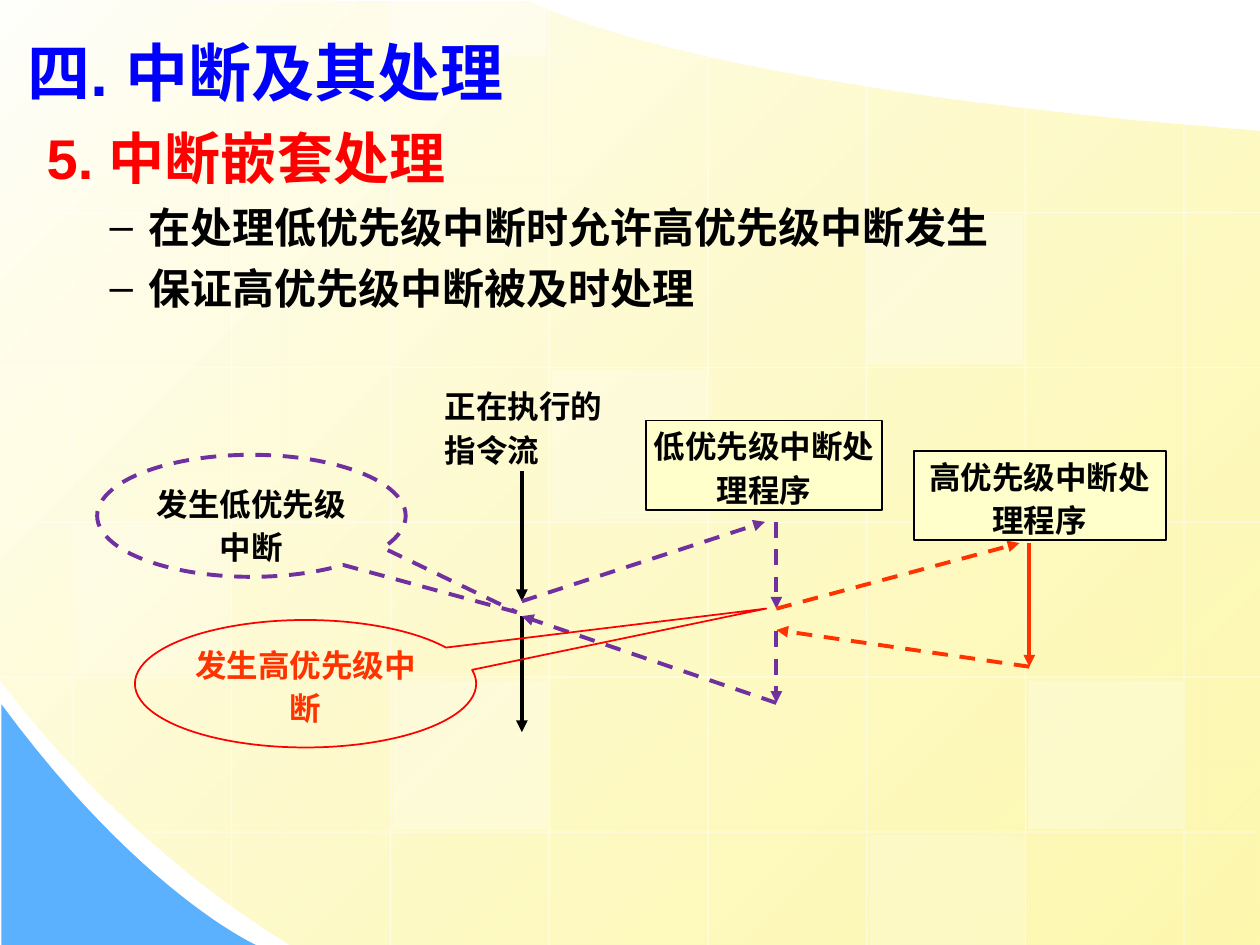
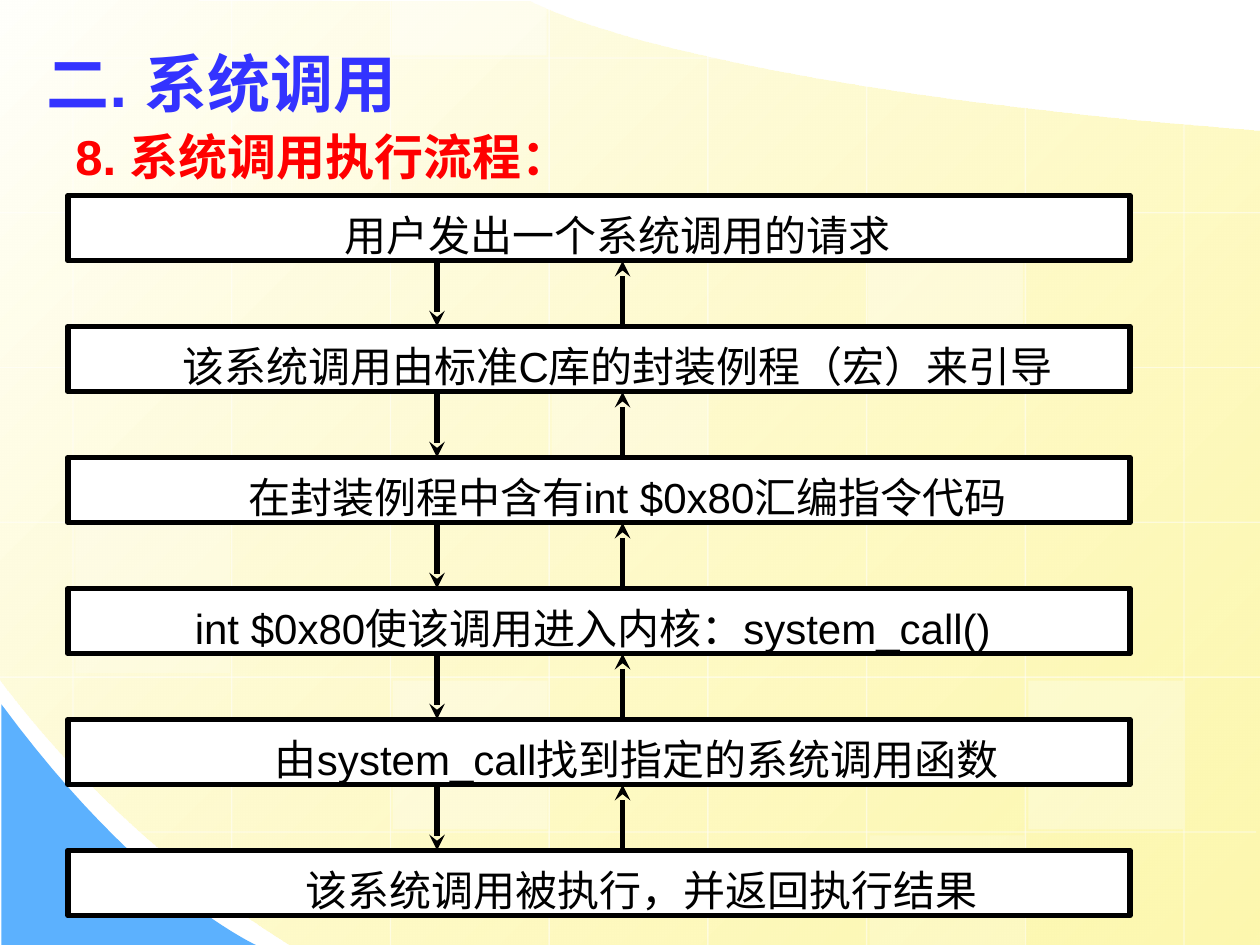
from lxml.etree import SubElement
from pptx import Presentation
from pptx.dml.color import RGBColor
from pptx.enum.dml import MSO_LINE
from pptx.enum.shapes import MSO_CONNECTOR, MSO_SHAPE
from pptx.enum.text import MSO_ANCHOR, MSO_AUTO_SIZE, PP_ALIGN
from pptx.oxml.ns import qn
from pptx.util import Cm, Pt

WHITE = RGBColor(0xFF, 0xFF, 0xFF)
BLACK = RGBColor(0x00, 0x00, 0x00)
IVORY = RGBColor(0xFF, 0xFF, 0xFB)
YELLOW = RGBColor(0xFD, 0xF5, 0x8D)
CREAM = RGBColor(0xFF, 0xFF, 0xCC)
SKY = RGBColor(0x5C, 0xB1, 0xFE)
BLUE = RGBColor(0x00, 0x00, 0xFF)
INDIGO = RGBColor(0x33, 0x33, 0xFF)
RED = RGBColor(0xFF, 0x00, 0x00)
ORANGE = RGBColor(0xFF, 0x33, 0x00)
PURPLE = RGBColor(0x70, 0x30, 0xA0)

WIDTH, HEIGHT = 25.4, 19.05


def write(tf, text, size=18, color=BLACK, bold=True, font="Arial",
          align=PP_ALIGN.LEFT, anchor=MSO_ANCHOR.TOP, spacing=1.15,
          before=0, margins=(0.25, 0.13), indent=(0, 0), bullet=None):
    """Fill the first paragraph of the frame, or add another one."""
    p = tf.add_paragraph() if tf.text else tf.paragraphs[0]
    tf.word_wrap = True
    tf.auto_size = MSO_AUTO_SIZE.NONE
    tf.vertical_anchor = anchor
    tf.margin_left = tf.margin_right = Cm(margins[0])
    tf.margin_top = tf.margin_bottom = Cm(margins[1])
    pPr = p._p.get_or_add_pPr()
    pPr.set("marL", str(Cm(indent[0])))
    pPr.set("indent", str(Cm(indent[1])))
    if bullet:
        p.level = 1
        SubElement(pPr, qn("a:buChar")).set("char", bullet)
    else:
        SubElement(pPr, qn("a:buNone"))
    p.alignment = align
    p.line_spacing = spacing
    p.space_before = Pt(before)
    r = p.add_run()
    r.text = text
    r.font.size = Pt(size)
    r.font.bold = bold
    r.font.name = font
    r.font.color.rgb = color


def draw_line(s, x1, y1, x2, y2, color, width, dash=None, head=None):
    c = s.shapes.add_connector(MSO_CONNECTOR.STRAIGHT, Cm(x1), Cm(y1), Cm(x2), Cm(y2))
    c.line.color.rgb = color
    c.line.width = Pt(width)
    if dash:
        c.line.dash_style = dash
    if head:
        SubElement(c.element.spPr.find(qn("a:ln")), qn("a:tailEnd")).set("type", head)
    SubElement(c.element.spPr, qn("a:effectLst"))
    return c


prs = Presentation()
prs.slide_width, prs.slide_height = Cm(WIDTH), Cm(HEIGHT)
layout = prs.slide_layouts[1]
nested = prs.slides.add_slide(layout)

# Shared background: two curved sheets, a pale grid and some lighter tiles.
# A two-number step is a straight line, a six-number step a Bézier curve.
outlines = [
    [(WIDTH, 2.64), (WIDTH, HEIGHT), (5.84, HEIGHT),
     (2.18, 16.79, 0, 13.69, 0, 13.69), (0, 0), (10.69, 0.03),
     (10.69, 0.03, 13.64, 1.75, WIDTH, 2.64)],
    [(0.03, 14.2), (0.03, HEIGHT), (5.16, HEIGHT),
     (5.16, HEIGHT, 2.84, 18.01, 0.03, 14.2)],
]
backdrop, translucent = [], []
for outline in outlines:
    points = [outline[0]]
    for step in outline[1:]:
        if len(step) == 2:
            points.append(step)
            continue
        controls = [points[-1], step[:2], step[2:4], step[4:]]
        for i in range(1, 25):
            t = i / 24
            weights = ((1 - t) ** 3, 3 * t * (1 - t) ** 2, 3 * t * t * (1 - t), t ** 3)
            points.append([sum(w * c[axis] for w, c in zip(weights, controls))
                           for axis in (0, 1)])
    emu = [(Cm(x), Cm(y)) for x, y in points]
    builder = nested.shapes.build_freeform(*emu[0])
    builder.add_line_segments(emu[1:])
    sp = builder.convert_to_shape()
    sp.shadow.inherit = False
    sp.line.fill.background()
    backdrop.append(sp)

sheet, corner = backdrop
sheet.fill.gradient()
sheet.fill.gradient_angle = 315
for stop, color in zip(sheet.fill.gradient_stops, (IVORY, YELLOW)):
    stop.color.rgb = color
translucent.append((sheet, 70))
corner.fill.solid()
corner.fill.fore_color.rgb = SKY

columns = [(0, 15.47), (0, 18.26), (0, HEIGHT), (0, HEIGHT),
           (1.09, HEIGHT), (1.73, HEIGHT), (2.16, HEIGHT), (2.49, HEIGHT)]
rows = [(0, 14.43)] + [(0, WIDTH)] * 4 + [(2.82, 25.32)]
grid = [(1.47 + 3.2 * i, top, 1.47 + 3.2 * i, bottom)
        for i, (top, bottom) in enumerate(columns)]
grid += [(left, 1.17 + 3.12 * i, right, 1.17 + 3.12 * i)
         for i, (left, right) in enumerate(rows)]
for ends in grid:
    backdrop.append(draw_line(nested, *ends, WHITE, 0.75))
    translucent.append((backdrop[-1], 50))

for x, y, h, opacity in [(11.13, 7.47, 3, 25), (20.73, 13.72, 3, 30),
                         (1.52, 10.57, 3, 20), (17.53, 16.84, 2.21, 20),
                         (7.9, 0, 1.12, 40), (7.92, 13.72, 3, 30),
                         (17.5, 4.34, 3, 30)]:
    tile = nested.shapes.add_shape(MSO_SHAPE.RECTANGLE, Cm(x), Cm(y), Cm(3.12), Cm(h))
    tile.shadow.inherit = False
    tile.line.fill.background()
    tile.fill.solid()
    tile.fill.fore_color.rgb = WHITE
    backdrop.append(tile)
    translucent.append((tile, opacity))

for sp, opacity in translucent:
    color = sp.element.xpath(".//a:srgbClr")[-1]
    SubElement(color, qn("a:alpha")).set("val", str(opacity * 1000))

# The layout holds the background, behind its placeholders
for i, sp in enumerate(backdrop):
    layout.shapes.element.insert(2 + i, sp.element)

calls = prs.slides.add_slide(layout)

# Titles and bodies
for s, text, color, spacing, title_box, body_box in [
        (nested, "四. 中断及其处理", BLUE, 0.9,
         (0.3, 0.71, 13.64, 1.63), (0.69, 2.36, 21.59, 6.25)),
        (calls, "二. 系统调用", INDIGO, 1.15,
         (0.69, 0.53, 22.86, 1.6), (0, 2.24, WIDTH, 1.68))]:
    title, body = s.placeholders
    for sp, box in ((title, title_box), (body, body_box)):
        sp.left, sp.top, sp.width, sp.height = map(Cm, box)
    write(title.text_frame, text, size=36, color=color, spacing=spacing)

tf = nested.placeholders[1].text_frame
write(tf, "5. 中断嵌套处理", size=32, color=RED, spacing=1)
for text in ("在处理低优先级中断时允许高优先级中断发生", "保证高优先级中断被及时处理"):
    write(tf, text, size=24, spacing=1, before=6, indent=(2.06, -0.79), bullet="–")
write(calls.placeholders[1].text_frame, "8. 系统调用执行流程：",
      size=28, color=RED, indent=(1.27, 0))

# Nested interrupts: instruction stream, low-priority and high-priority handlers
main_x, low_x, high_x = 10.52, 15.65, 20.75
for *ends, color, dash in [
        (main_x, 9.5, main_x, 12.12, BLACK, None),
        (main_x, 12.42, main_x, 14.76, BLACK, None),
        (low_x, 10.52, low_x, 12.27, PURPLE, MSO_LINE.DASH),
        (main_x, 12.12, 15.42, 10.52, PURPLE, MSO_LINE.DASH),
        (low_x, 14.17, main_x, 12.42, PURPLE, MSO_LINE.DASH),
        (high_x, 10.95, high_x, 13.44, ORANGE, None),
        (low_x, 12.27, 20.55, 10.95, ORANGE, MSO_LINE.DASH),
        (high_x, 13.44, low_x, 12.7, ORANGE, MSO_LINE.DASH),
        (low_x, 12.73, low_x, 14.17, PURPLE, MSO_LINE.DASH)]:
    draw_line(nested, *ends, color, 2.25, dash, "triangle")

label = nested.shapes.add_textbox(Cm(8.92), Cm(7.67), Cm(3.53), Cm(1.8))
write(label.text_frame, "正在执行的指令流", font="Times New Roman",
      anchor=MSO_ANCHOR.MIDDLE, margins=(0.05, 0.03))

for text, box in [("高优先级中断处理程序", (18.42, 9.09, 5.08, 1.8)),
                  ("低优先级中断处理程序", (13.03, 8.48, 4.75, 1.8))]:
    sp = nested.shapes.add_shape(MSO_SHAPE.RECTANGLE, *map(Cm, box))
    sp.shadow.inherit = False
    sp.fill.solid()
    sp.fill.fore_color.rgb = CREAM
    sp.line.color.rgb = BLACK
    sp.line.width = Pt(1)
    write(sp.text_frame, text, font="Times New Roman", align=PP_ALIGN.CENTER,
          anchor=MSO_ANCHOR.MIDDLE, margins=(0.05, 0.03))

for text, box, tip, outline, width, dash, fmt in [
        ("发生低优先级中断", (1.96, 9.17, 6.22, 2.46), (0.86, 0.79),
         PURPLE, 2.25, MSO_LINE.DASH, {}),
        ("发生高优先级中断", (2.72, 12.5, 6.88, 2.57), (1.35, -0.59), RED, 1, None,
         dict(color=ORANGE, font="Times New Roman", anchor=MSO_ANCHOR.MIDDLE,
              margins=(0.05, 0.03)))]:
    sp = nested.shapes.add_shape(MSO_SHAPE.OVAL_CALLOUT, *map(Cm, box))
    sp.shadow.inherit = False
    sp.adjustments[0], sp.adjustments[1] = tip
    sp.fill.background()
    sp.line.color.rgb = outline
    sp.line.width = Pt(width)
    sp.line.dash_style = dash
    write(sp.text_frame, text, align=PP_ALIGN.CENTER, **fmt)

# System call flow: each step leads down to the next and returns up
steps = [("用户发出一个系统调用的请求", 0.76, "Noto Sans CJK SC"),
         ("该系统调用由标准C库的封装例程（宏）来引导", 0.76, "Arial"),
         ("在封装例程中含有int $0x80汇编指令代码", 1.14, "Arial"),
         ("int $0x80使该调用进入内核：system_call()", -0.25, "Arial"),
         ("由system_call找到指定的系统调用函数", 1.52, "Arial"),
         ("该系统调用被执行，并返回执行结果", 1.71, "Arial")]
first_top, pitch, step_height = 3.94, 2.64, 1.32
for i, (text, shift, font) in enumerate(steps):
    top = first_top + pitch * i
    sp = calls.shapes.add_shape(MSO_SHAPE.RECTANGLE, Cm(1.37), Cm(top),
                                Cm(21.41), Cm(step_height))
    sp.shadow.inherit = False
    sp.fill.solid()
    sp.fill.fore_color.rgb = WHITE
    sp.line.color.rgb = BLACK
    sp.line.width = Pt(3)
    write(sp.text_frame, text, size=24, bold=False, font=font, align=PP_ALIGN.CENTER)
    sp.text_frame.margin_left = Cm(0.25 + shift)
    if i:
        above = top - pitch + step_height
        draw_line(calls, 8.81, above, 8.81, top, BLACK, 3, head="stealth")
        draw_line(calls, 12.55, top, 12.55, above, BLACK, 3, head="stealth")

prs.save("out.pptx")
